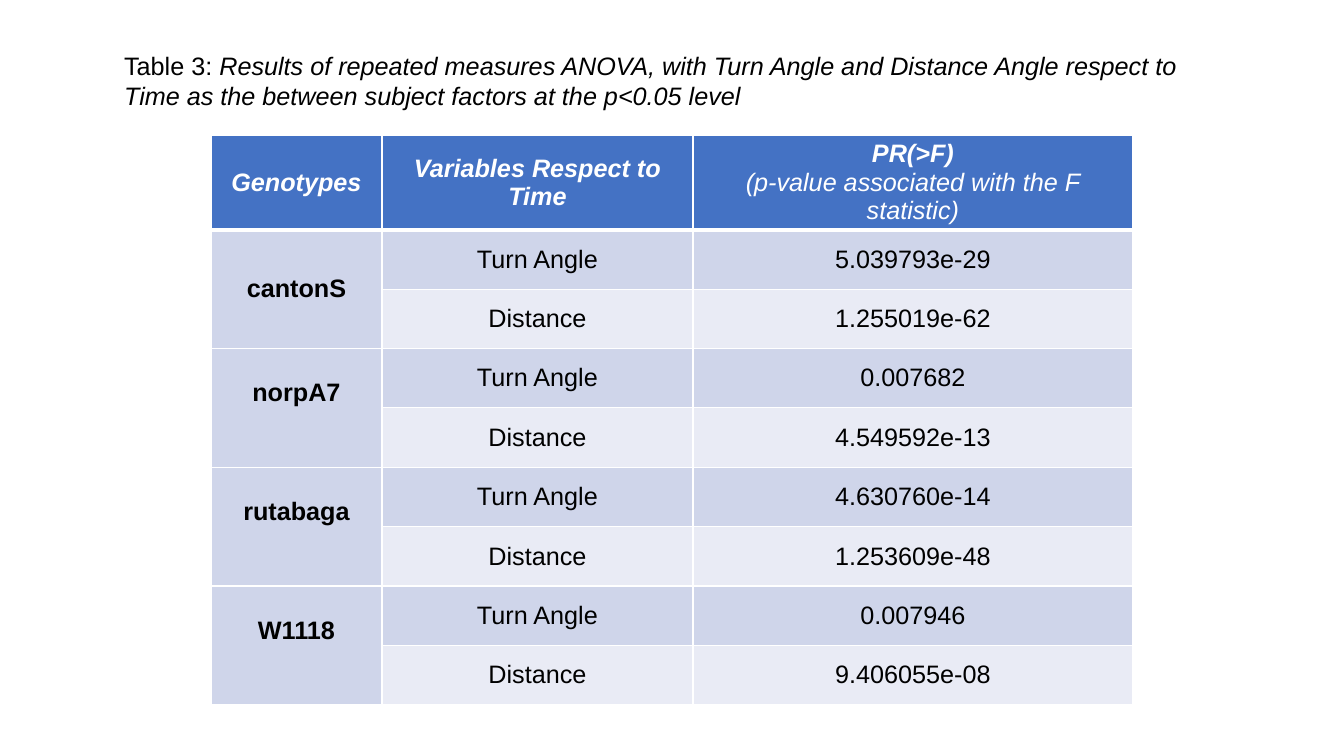
from pptx import Presentation
from pptx.dml.color import RGBColor
from pptx.enum.text import MSO_ANCHOR, MSO_AUTO_SIZE, PP_ALIGN
from pptx.oxml.ns import qn
from pptx.util import Emu, Pt
from lxml import etree

LEFT, CENTER = PP_ALIGN.LEFT, PP_ALIGN.CENTER
TOP, MIDDLE = MSO_ANCHOR.TOP, MSO_ANCHOR.MIDDLE

# Content
CAPTION = [
    ("Table 3: ", {}),
    ("Results of repeated measures ANOVA, with Turn Angle and Distance Angle "
     "respect to Time as the between subject factors at the p<0.05 level", {"italic": True}),
]
HEADINGS = [
    [("Genotypes", True)],
    [("Variables Respect to Time", True)],
    [("PR(>F)", True), ("(p-value associated with the F statistic)", False)],
]
VARIABLES = ["Turn Angle", "Distance"]
P_VALUES = {
    "cantonS": ["5.039793e-29", "1.255019e-62"],
    "norpA7": ["0.007682", "4.549592e-13"],
    "rutabaga": ["4.630760e-14", "1.253609e-48"],
    "W1118": ["0.007946", "9.406055e-08"],
}

# Layout, in pixels
CAPTION_BOX = (114, 45, 1117, 72)
TABLE_LEFT, TABLE_TOP = 211, 135
COLUMN_WIDTHS = [171, 311, 440]
HEADER_HEIGHT, BODY_HEIGHT = 94, 475
NAME_LIFT = 30  # extra space under every genotype name but the first

BLACK, WHITE, HEADER_BLUE = "000000", "FFFFFF", "4472C4"
BANDS = ["CFD5EA", "E9EBF5"]


def px(pixels):
    return Emu(round(pixels * 914400 / 100.8))


def rgb(hex_string):
    return RGBColor.from_string(hex_string)


def write(paragraph, text, color=BLACK, bold=False, italic=False, align=CENTER):
    paragraph.alignment = align
    run = paragraph.add_run()
    run.text = text
    font = run.font
    font.name, font.size = "Arial", Pt(18)
    font.bold, font.italic = bold, italic
    font.color.rgb = rgb(color)


def style_cell(cell, fill, top=1, bottom=1):
    cell.vertical_anchor = MIDDLE
    properties = cell._tc.get_or_add_tcPr()
    for side, points in (("L", 1), ("R", 1), ("T", top), ("B", bottom)):
        border = etree.SubElement(properties, qn(f"a:ln{side}"), w=str(Pt(points)))
        solid = etree.SubElement(border, qn("a:solidFill"))
        etree.SubElement(solid, qn("a:srgbClr"), val=WHITE)
    cell.fill.solid()
    cell.fill.fore_color.rgb = rgb(fill)


deck = Presentation()
deck.slide_width, deck.slide_height = px(1344), px(756)
slide = deck.slides.add_slide(deck.slide_layouts[5])

# Caption
caption = slide.shapes.title
caption.left, caption.top, caption.width, caption.height = map(px, CAPTION_BOX)
frame = caption.text_frame
frame.word_wrap, frame.auto_size, frame.vertical_anchor = True, MSO_AUTO_SIZE.NONE, TOP
for text, style in CAPTION:
    write(frame.paragraphs[0], text, align=LEFT, **style)

# Table grid
body_rows = len(P_VALUES) * len(VARIABLES)
table = slide.shapes.add_table(
    body_rows + 1, len(COLUMN_WIDTHS), px(TABLE_LEFT), px(TABLE_TOP),
    px(sum(COLUMN_WIDTHS)), px(HEADER_HEIGHT + BODY_HEIGHT)).table
for column, width in zip(table.columns, COLUMN_WIDTHS):
    column.width = px(width)
for number, row in enumerate(table.rows):
    row.height = px(BODY_HEIGHT / body_rows if number else HEADER_HEIGHT)

# Header row
for column, lines in enumerate(HEADINGS):
    heading = table.cell(0, column)
    style_cell(heading, HEADER_BLUE, bottom=3)
    for number, (text, bold) in enumerate(lines):
        text_frame = heading.text_frame
        paragraph = text_frame.add_paragraph() if number else text_frame.paragraphs[0]
        write(paragraph, text, color=WHITE, bold=bold, italic=True)

# One block of rows for each genotype
for block, (genotype, values) in enumerate(P_VALUES.items()):
    first = 1 + block * len(VARIABLES)
    for offset, (variable, value) in enumerate(zip(VARIABLES, values)):
        row = first + offset
        for column, text in enumerate(["", variable, value]):
            cell = table.cell(row, column)
            style_cell(cell, BANDS[offset if column else 0], top=3 if row == 1 else 1)
            if text:
                write(cell.text_frame.paragraphs[0], text)
    name = table.cell(first, 0)
    name.merge(table.cell(first + len(VARIABLES) - 1, 0))
    write(name.text_frame.paragraphs[0], genotype, bold=True)
    if block:
        name.margin_bottom = px(5 + NAME_LIFT)

deck.save("out.pptx")
